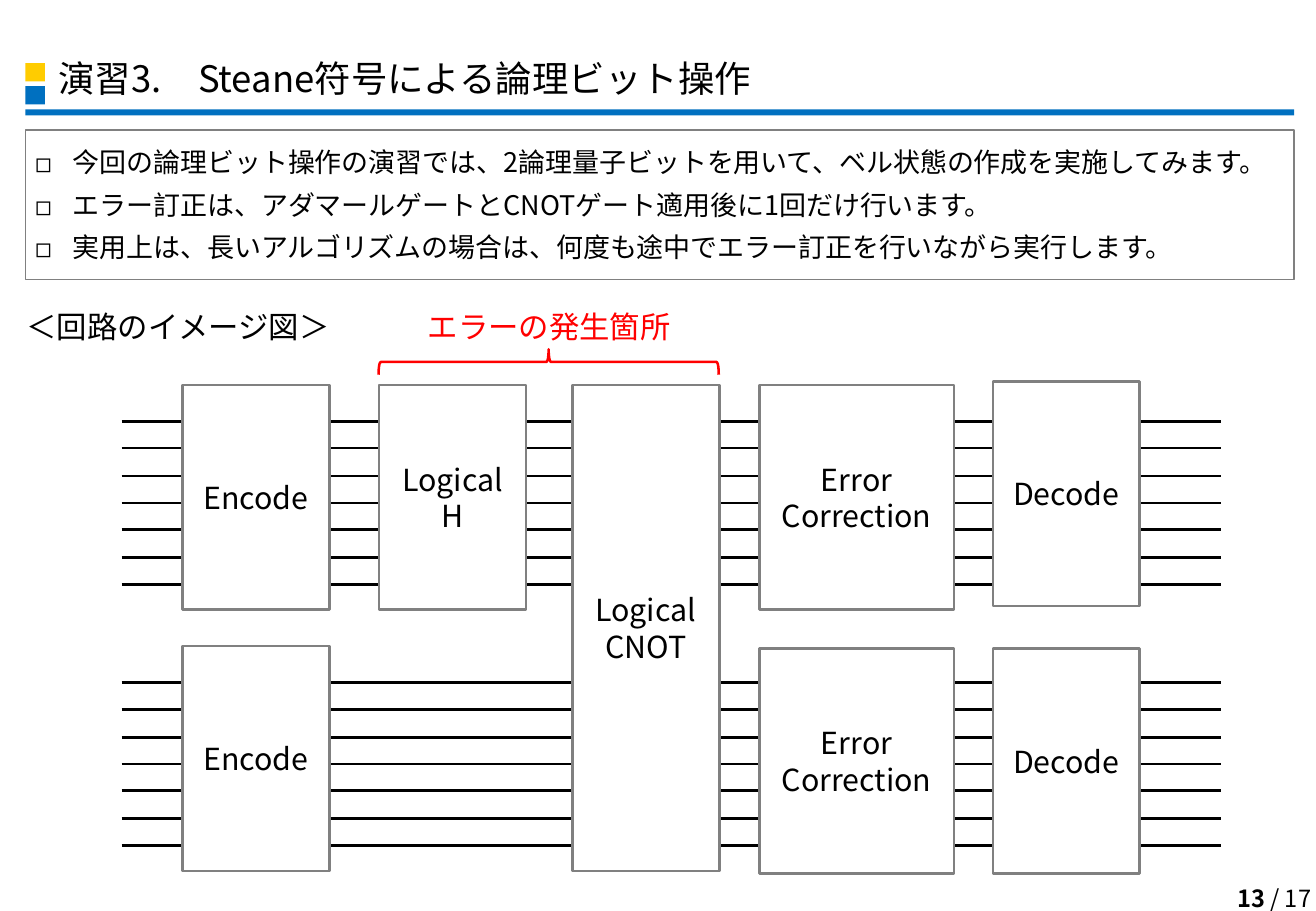
import dataclasses

import lxml.etree
import pptx
import pptx.dml.color
import pptx.enum.shapes
import pptx.enum.text
import pptx.oxml.ns
import pptx.util

PX = 9144
SHAPE = pptx.enum.shapes.MSO_SHAPE
ALIGN = pptx.enum.text.PP_ALIGN
qn = pptx.oxml.ns.qn


@dataclasses.dataclass(frozen=True)
class Theme:
    font: str = "Noto Sans CJK JP"
    ink: str = "000000"
    paper: str = "FFFFFF"
    border: str = "808080"
    blue: str = "0070C0"
    yellow: str = "FFCC00"
    alert: str = "FF0000"
    title: float = 21.6
    label: float = 18
    body: float = 16
    page: float = 14
    title_leading: float = 0.9


THEME = Theme()


def emu(*lengths):
    return [n * PX for n in lengths]


def rgb(color):
    return pptx.dml.color.RGBColor.from_string(color)


def style(p, size, color, align):
    p.alignment = align
    p.line_spacing = 1.0
    p.font.size = pptx.util.Pt(size)
    p.font.color.rgb = rgb(color)
    p.font.name = THEME.font
    props = p._p.get_or_add_pPr().find(qn("a:defRPr"))
    lxml.etree.SubElement(props, qn("a:ea"), typeface=THEME.font)


def add_bullet(p, indent):
    pPr = p._p.get_or_add_pPr()
    pPr.set("marL", str(indent * PX))
    pPr.set("indent", str(-indent * PX))
    props = pPr.find(qn("a:defRPr"))
    color = lxml.etree.Element(qn("a:buClr"))
    lxml.etree.SubElement(color, qn("a:srgbClr"), val=THEME.ink)
    props.addprevious(color)
    props.addprevious(lxml.etree.Element(qn("a:buFont"), typeface=THEME.font))
    props.addprevious(lxml.etree.Element(qn("a:buChar"), char="◻"))


def write(sp, lines, size, color=THEME.ink, align=ALIGN.CENTER, wrap=True):
    tf = sp.text_frame
    tf.word_wrap = wrap
    tf.vertical_anchor = pptx.enum.text.MSO_ANCHOR.MIDDLE
    tf.text = "\n".join(lines)
    for p in tf.paragraphs:
        style(p, size, color, align)
    return tf


def add_shape(s, kind, box, fill=None, line=None, width=1.5):
    sp = s.shapes.add_shape(kind, *emu(*box))
    sp.shadow.inherit = False
    if fill:
        sp.fill.solid()
        sp.fill.fore_color.rgb = rgb(fill)
    else:
        sp.fill.background()
    if line:
        sp.line.color.rgb = rgb(line)
        sp.line.width = pptx.util.Pt(width)
    else:
        sp.line.fill.background()
    return sp


def add_label(s, box, text, **options):
    sp = s.shapes.add_textbox(*emu(*box))
    write(sp, [text], THEME.label, wrap=False, **options)


def add_header(s, box, text):
    x, y, w, h = box
    add_shape(s, SHAPE.RECTANGLE, (x, y + h - 5, w, 5), THEME.blue)
    for dy, color in ((27, THEME.blue), (8, THEME.yellow)):
        add_shape(s, SHAPE.RECTANGLE, (x, y + dy, 16, 15), color)
    title = s.shapes.title
    title.left, title.top, title.width, title.height = emu(x + 17, y, w - 16, 45)
    tf = write(title, [text], THEME.title, align=ALIGN.LEFT)
    tf.auto_size = pptx.enum.text.MSO_AUTO_SIZE.NONE
    tf.paragraphs[0].line_spacing = THEME.title_leading


def add_notice(s, box, lines):
    sp = add_shape(s, SHAPE.RECTANGLE, box, line=THEME.border, width=0.75)
    tf = write(sp, lines, THEME.body, align=ALIGN.LEFT)
    tf.margin_left, tf.margin_right = emu(8, 8)
    tf.margin_top, tf.margin_bottom = emu(4, 4)
    for p in tf.paragraphs:
        p.space_before = pptx.util.Pt(6)
        add_bullet(p, 31)


def add_wires(s, box, count=7):
    x, y, w, h = box
    for i in range(count):
        wire_y = y + round(i * h / (count - 1))
        line = s.shapes.add_connector(
            pptx.enum.shapes.MSO_CONNECTOR.STRAIGHT,
            *emu(x, wire_y, x + w, wire_y))
        line.line.color.rgb = rgb(THEME.ink)
        line.line.width = pptx.util.Pt(1.5)
        lxml.etree.SubElement(line._element.spPr, qn("a:effectLst"))


def add_circuit(s, box):
    x, y, w, h = box
    for dy in (33, 248):
        add_wires(s, (x, y + dy, w, 134))
    gate_w, gate_h = 121, 185
    gates = (
        (50, 3, gate_w, gate_h, ["Encode"]),
        (50, 218, gate_w, gate_h, ["Encode"]),
        (212, 3, gate_w, gate_h, ["Logical", "H"]),
        (371, 3, gate_w, 400, ["Logical", "CNOT"]),
        (525, 3, 160, gate_h, ["Error", "Correction"]),
        (525, 220, 160, gate_h, ["Error", "Correction"]),
        (717, 0, gate_w, gate_h, ["Decode"]),
        (717, 220, gate_w, gate_h, ["Decode"]),
    )
    for dx, dy, gw, gh, lines in gates:
        sp = add_shape(s, SHAPE.RECTANGLE, (x + dx, y + dy, gw, gh),
                       THEME.paper, THEME.border)
        write(sp, lines, THEME.label)


def add_error_span(s, box, text):
    x, y, w, h = box
    add_label(s, (x + 25, y, w - 50, 45), text, color=THEME.alert)
    depth = 21
    left = x + (w - depth) // 2
    top = y + h - (w + depth) // 2
    brace = add_shape(s, SHAPE.LEFT_BRACE, (left, top, depth, w), line=THEME.alert)
    brace.rotation = 90


def add_page_number(s, box, page, total):
    sp = s.shapes.add_textbox(*emu(*box))
    tf = write(sp, [""], THEME.page, align=ALIGN.RIGHT, wrap=False)
    p = tf.paragraphs[0]
    r = p.add_run()
    r.text = str(page)
    r.font.bold = True
    p.add_run().text = f" / {total}"


def build_exercise(prs):
    s = prs.slides.add_slide(prs.slide_layouts[5])
    add_header(s, (21, 44, 1044, 51), "演習3.　Steane符号による論理ビット操作")
    add_notice(s, (21, 107, 1044, 123), [
        "今回の論理ビット操作の演習では、2論理量子ビットを用いて、ベル状態の作成を実施してみます。",
        "エラー訂正は、アダマールゲートとCNOTゲート適用後に1回だけ行います。",
        "実用上は、長いアルゴリズムの場合は、何度も途中でエラー訂正を行いながら実行します。",
    ])
    add_circuit(s, (100, 314, 905, 405))
    add_label(s, (12, 247, 280, 44), "＜回路のイメージ図＞", align=ALIGN.LEFT)
    add_error_span(s, (312, 246, 280, 62), "エラーの発生箇所")
    add_page_number(s, (985, 722, 104, 34), 13, 17)


def main():
    prs = pptx.Presentation()
    prs.slide_width, prs.slide_height = emu(1083, 750)
    build_exercise(prs)
    prs.save("out.pptx")


if __name__ == "__main__":
    main()
